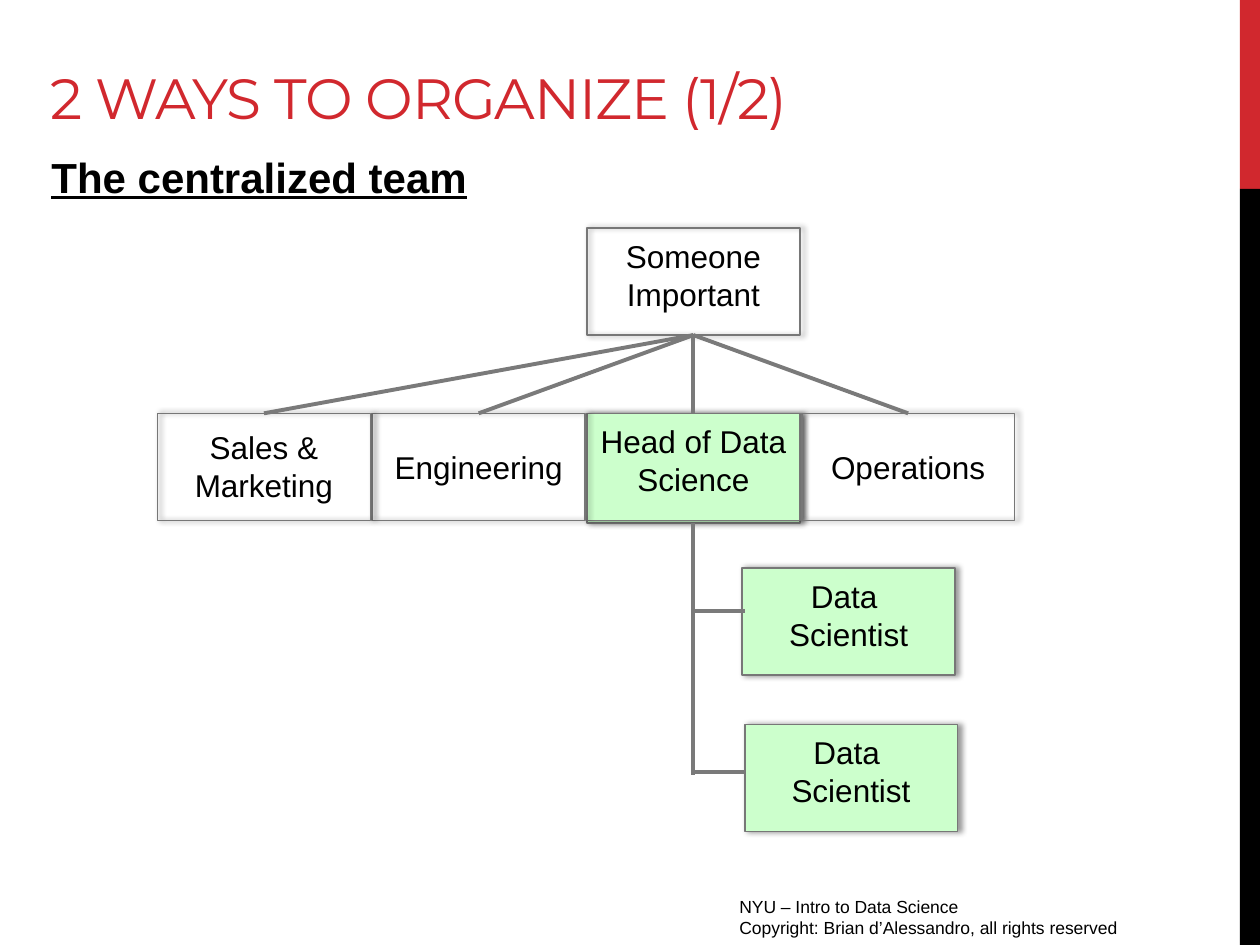
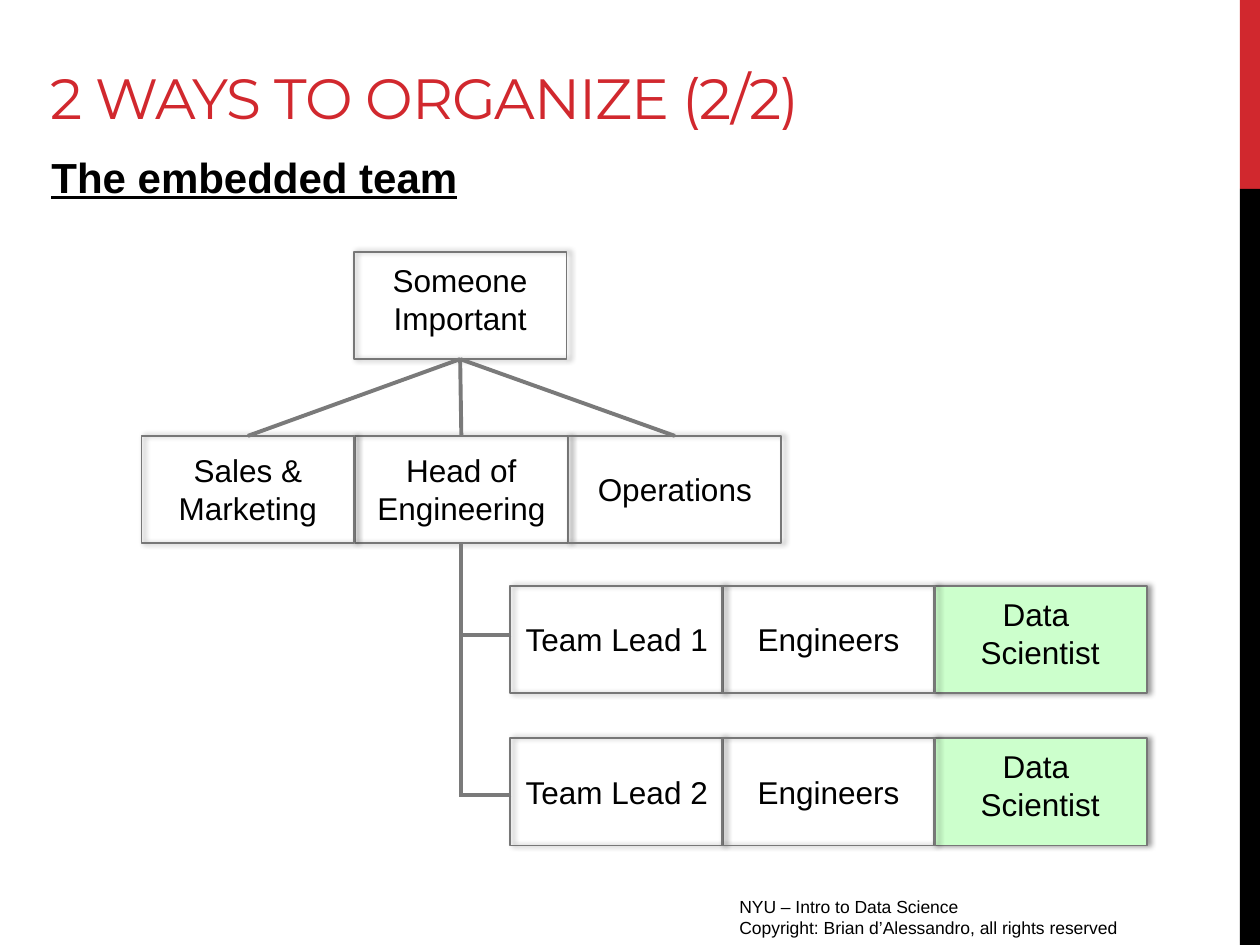
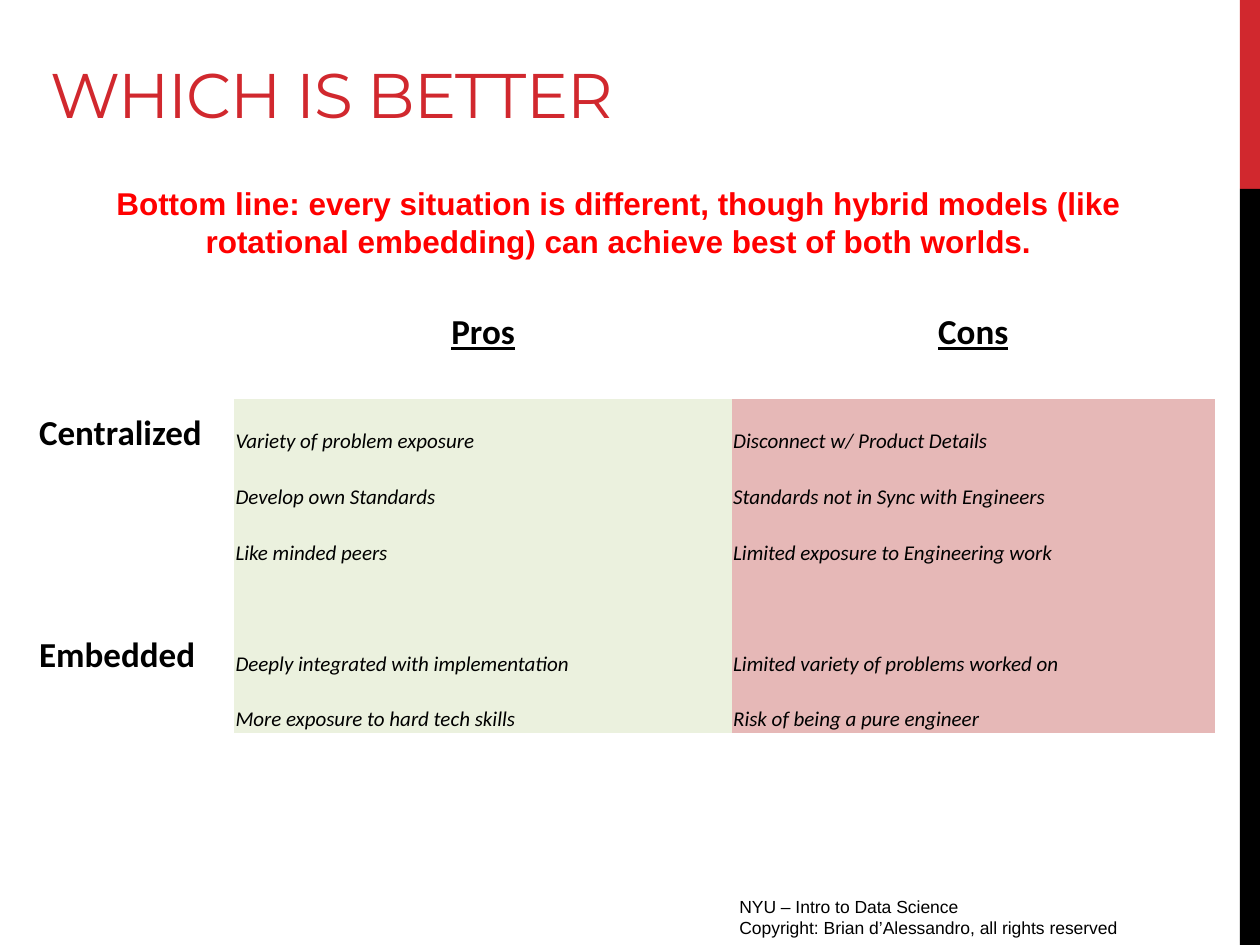
import pptx
import pptx.util
import pptx.dml.color
import pptx.enum.shapes
import pptx.enum.text
import pptx.oxml.ns
from lxml import etree

Pt = pptx.util.Pt
ALIGN = pptx.enum.text.PP_ALIGN
ANCHOR = pptx.enum.text.MSO_ANCHOR
RECTANGLE = pptx.enum.shapes.MSO_SHAPE.RECTANGLE
STRAIGHT = pptx.enum.shapes.MSO_CONNECTOR.STRAIGHT

COLORS = {
    "accent": "D1282E",
    "black": "000000",
    "alert": "FF0000",
    "science": "CCFFCC",
    "outline": "777777",
    "connector": "7A7A7A",
    "pros": "EBF1DE",
    "cons": "E6B8B7",
}
NO_STYLE_NO_GRID = "{2D5ABB26-0587-4C30-8999-92F81FD0307C}"

BOX_WIDTH, BOX_HEIGHT = 121.7, 61.2
LABEL_OVERHANG = 6.5
LABEL_HEIGHTS = {1: 28.8, 2: 51.1}
TOP, BOTTOM = 0, 2  # connection sites of a rectangle

TABLE_COLUMNS = (112.3, 284.4, 275.8)
ROW_HEIGHT, SPACER_HEIGHT = 31.8, 25.6
TABLE_ROWS = (
    ("", "Pros", "Cons"),
    ("", "", ""),
    ("Centralized", "Variety of problem exposure", "Disconnect w/ Product Details"),
    ("", "Develop own Standards", "Standards not in Sync with Engineers"),
    ("", "Like minded peers", "Limited exposure to Engineering work"),
    ("", "", ""),
    ("Embedded", "Deeply integrated with implementation",
     "Limited variety of problems worked on"),
    ("", "More exposure to hard tech skills", "Risk of being a pure engineer"),
)


def rgb(name):
    return pptx.dml.color.RGBColor.from_string(COLORS[name])


def qualified(tag):
    return pptx.oxml.ns.qn(tag)


def write(frame, text, size, color="black", font="Arial", align=ALIGN.LEFT,
          bold=False, italic=False, underline=False):
    """Fill a text frame with one paragraph for each line of text."""
    for index, line in enumerate(text.split("\n")):
        para = frame.add_paragraph() if index else frame.paragraphs[0]
        para.alignment = align
        span = para.add_run()
        span.text = line
        span.font.name = font
        span.font.size = Pt(size)
        span.font.color.rgb = rgb(color)
        span.font.bold = bold
        span.font.italic = italic
        span.font.underline = underline


def add_text(shapes, text, left, top, width, height, size, **style):
    box = shapes.add_textbox(Pt(left), Pt(top), Pt(width), Pt(height))
    box.text_frame.word_wrap = True
    write(box.text_frame, text, size, **style)
    return box


def add_band(page, top, height, color):
    band = page.shapes.add_shape(RECTANGLE, Pt(708.5), Pt(top), Pt(11.5), Pt(height))
    band.shadow.inherit = False
    band.fill.solid()
    band.fill.fore_color.rgb = rgb(color)
    band.line.fill.background()


def add_page(deck, title, title_size=32.4):
    """Add a slide with the side bands, footer and title."""
    page = deck.slides.add_slide(deck.slide_layouts[5])
    add_band(page, 0, 108, "accent")
    add_band(page, 108, 432, "black")
    add_text(page.shapes, "NYU – Intro to Data Science\n"
             "Copyright: Brian d’Alessandro, all rights reserved",
             415.4, 508.3, 270, 22.3, 10)
    heading = page.shapes.title
    heading.left, heading.top = Pt(21.6), Pt(-12.2)
    heading.width, heading.height = Pt(509), Pt(90.7)
    frame = heading.text_frame
    frame.word_wrap = True
    frame.auto_size = pptx.enum.text.MSO_AUTO_SIZE.NONE
    frame.vertical_anchor = ANCHOR.BOTTOM
    write(frame, title, title_size, "accent", "Montserrat")
    for span in frame.paragraphs[0].runs:
        span._r.get_or_add_rPr().set("spc", "-60")
    return page


def add_subtitle(page, text):
    add_text(page.shapes, text, 22.3, 82.8, 508.3, 36, 24, bold=True, underline=True)


def add_soft_shadow(shape):
    shape.shadow.inherit = False
    effects = shape._element.spPr.find(qualified("a:effectLst"))
    shadow = etree.SubElement(effects, qualified("a:outerShdw"), blurRad="40000",
                              dist="23000", dir="0", rotWithShape="0")
    color = etree.SubElement(shadow, qualified("a:srgbClr"), val=COLORS["black"])
    etree.SubElement(color, qualified("a:alpha"), val="40000")


def add_frame(shapes, left, top, fill=None):
    frame = shapes.add_shape(RECTANGLE, Pt(left), Pt(top), Pt(BOX_WIDTH), Pt(BOX_HEIGHT))
    if fill:
        frame.fill.solid()
        frame.fill.fore_color.rgb = rgb(fill)
    else:
        frame.fill.background()
    frame.line.color.rgb = rgb("outline")
    frame.line.width = Pt(1)
    add_soft_shadow(frame)
    return frame


def add_org_box(page, text, left, top, fill=None, lines=2, centred=False):
    """Group a frame with its label, and return the frame."""
    group = page.shapes.add_group_shape()
    frame = add_frame(group.shapes, left, top, fill)
    height = LABEL_HEIGHTS[lines]
    drop = (BOX_HEIGHT - height) / 2 if centred else 1.5
    add_text(group.shapes, text, left - LABEL_OVERHANG, top + drop,
             BOX_WIDTH + 2 * LABEL_OVERHANG, height, 18, align=ALIGN.CENTER)
    return frame


def add_line(page, start, end):
    line = page.shapes.add_connector(STRAIGHT, *map(Pt, start + end))
    line.line.color.rgb = rgb("connector")
    line.line.width = Pt(2.25)
    etree.SubElement(line._element.spPr, qualified("a:effectLst"))
    return line


def connect_reports(page, leader, reports):
    for report in reports:
        line = add_line(page, (0, 0), (0, 0))
        line.begin_connect(leader, BOTTOM)
        line.end_connect(report, TOP)


def add_branches(page, head, branch_end, branch_tops):
    """Draw a trunk below the head with a branch to the right at each height."""
    trunk = (head.left + head.width / 2) / Pt(1)
    line = add_line(page, (trunk, 0), (trunk, branch_tops[-1] + 1.4))
    line.begin_connect(head, BOTTOM)
    for top in branch_tops:
        add_line(page, (branch_end, top), (trunk, top))


def build_centralized(deck):
    page = add_page(deck, "2 WAYS TO ORGANIZE (1/2)")
    add_subtitle(page, "The centralized team")
    lefts = [90 + 122.7 * column for column in range(4)]
    row_top = 236.2
    backing = add_frame(page.shapes, lefts[2], row_top + 1.4, "science")
    leader = add_org_box(page, "Someone Important", lefts[2], 130.3)
    head = add_org_box(page, "Head of Data Science", lefts[2], row_top, "science")
    for left, top in ((424.1, 324.7), (425.5, 414)):
        add_org_box(page, "Data \nScientist", left, top, "science")
    engineering = add_org_box(page, "Engineering", lefts[1], row_top, lines=1, centred=True)
    operations = add_org_box(page, "Operations", lefts[3], row_top, lines=1, centred=True)
    sales = add_org_box(page, "Sales & Marketing", lefts[0], row_top, centred=True)
    connect_reports(page, leader, (sales, engineering, head, operations))
    add_branches(page, backing, 425.5, (349.2, 441.4))


def build_embedded(deck):
    page = add_page(deck, "2 WAYS TO ORGANIZE (2/2)")
    add_subtitle(page, "The embedded team")
    lefts = [80.8 + 122 * column for column in range(3)]
    row_top = 249.1
    leader = add_org_box(page, "Someone Important", 202.1, 144)
    head = add_org_box(page, "Head of\nEngineering", lefts[1], row_top, centred=True)
    operations = add_org_box(page, "Operations", lefts[2], row_top, lines=1, centred=True)
    sales = add_org_box(page, "Sales & Marketing", lefts[0], row_top, centred=True)
    connect_reports(page, leader, (sales, head, operations))
    add_branches(page, head, 292.3, (362.9, 454.3))
    team_lefts = [291.6 + 121 * column for column in range(3)]
    for number, top in enumerate((334.8, 421.9), start=1):
        add_org_box(page, "Data \nScientist", team_lefts[2], top, "science")
        add_org_box(page, f"Team Lead {number}", team_lefts[0], top, lines=1, centred=True)
        add_org_box(page, "Engineers", team_lefts[1], top, lines=1, centred=True)


def fill_cell(cell, text, row, column):
    cell.margin_left = cell.margin_right = cell.margin_top = Pt(0.72)
    cell.margin_bottom = Pt(0)
    cell.vertical_anchor = ANCHOR.BOTTOM
    if row >= 2 and column:
        cell.fill.solid()
        cell.fill.fore_color.rgb = rgb(("pros", "cons")[column - 1])
    else:
        cell.fill.background()
    if not text:
        return
    if row == 0:
        style = dict(size=20, bold=True, underline=True, align=ALIGN.CENTER)
    elif column == 0:
        style = dict(size=20, bold=True)
    else:
        style = dict(size=12, italic=True)
    write(cell.text_frame, text, font="Calibri", **style)


def add_comparison_table(page):
    height = ROW_HEIGHT * (len(TABLE_ROWS) - 1) + SPACER_HEIGHT
    table = page.shapes.add_table(len(TABLE_ROWS), len(TABLE_COLUMNS), Pt(21.6), Pt(170.6),
                                  Pt(sum(TABLE_COLUMNS)), Pt(height)).table
    table.first_row = table.horz_banding = False
    table._tbl.tblPr.find(qualified("a:tableStyleId")).text = NO_STYLE_NO_GRID
    for column, width in enumerate(TABLE_COLUMNS):
        table.columns[column].width = Pt(width)
    for row, texts in enumerate(TABLE_ROWS):
        table.rows[row].height = Pt(SPACER_HEIGHT if row == 1 else ROW_HEIGHT)
        for column, text in enumerate(texts):
            fill_cell(table.cell(row, column), text, row, column)


def build_comparison(deck):
    page = add_page(deck, "WHICH IS BETTER", 36)
    add_comparison_table(page)
    add_text(page.shapes, "Bottom line: every situation is different, though hybrid models "
             "(like rotational embedding) can achieve best of both worlds.",
             40.3, 101.5, 626.4, 51.1, 18, color="alert", bold=True, align=ALIGN.CENTER)


def main():
    deck = pptx.Presentation()
    deck.slide_width, deck.slide_height = Pt(720), Pt(540)
    build_centralized(deck)
    build_embedded(deck)
    build_comparison(deck)
    deck.save("out.pptx")


if __name__ == "__main__":
    main()
